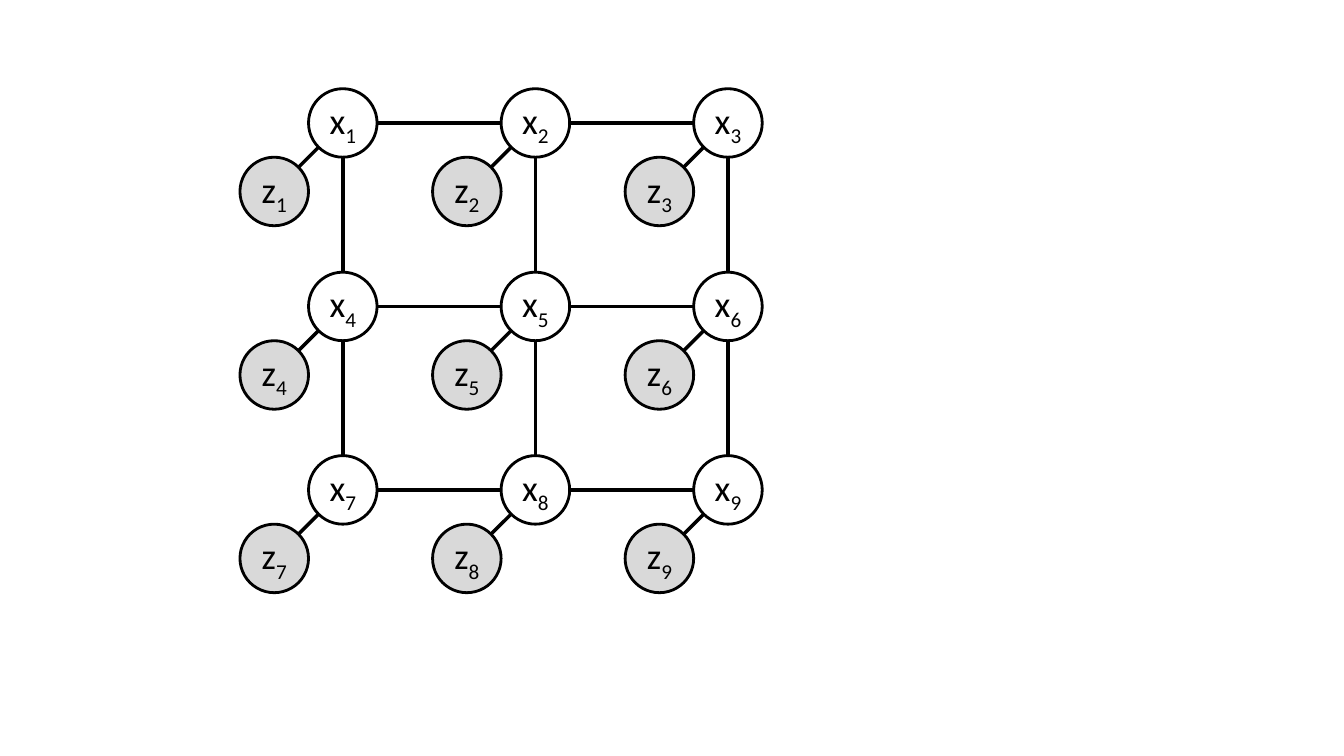
import math

from lxml import etree
from pptx import Presentation
from pptx.dml.color import RGBColor
from pptx.enum.shapes import MSO_CONNECTOR, MSO_SHAPE
from pptx.enum.text import MSO_ANCHOR, PP_ALIGN
from pptx.oxml.ns import qn
from pptx.util import Inches, Pt

ELLIPSE, STRAIGHT = MSO_SHAPE.OVAL, MSO_CONNECTOR.STRAIGHT
MIDDLE, CENTER = MSO_ANCHOR.MIDDLE, PP_ALIGN.CENTER

# Content: a 3 by 3 grid of hidden nodes, each with an observed node
GRID = [["1", "2", "3"], ["4", "5", "6"], ["7", "8", "9"]]
HIDDEN, OBSERVED = "x", "z"

# Layout in inches
FIRST_X, FIRST_Y = 3.4, 1.22
STEP_X, STEP_Y = 1.91, 1.82
DIAMETER = 0.68
OBSERVED_SHIFT = 0.68

# Style
FONT, TEXT_SIZE = "Calibri", 26
BLACK, GRAY = "000000", "D9D9D9"
OUTLINE, EDGE = 2, 2.5


def color(value):
    return RGBColor.from_string(value)


def add_node(page, center, letter, number, fill=None):
    left, top = (c - DIAMETER / 2 for c in center)
    node = page.shapes.add_shape(ELLIPSE, Inches(left), Inches(top),
                                 Inches(DIAMETER), Inches(DIAMETER))
    node.shadow.inherit = False
    if fill:
        node.fill.solid()
        node.fill.fore_color.rgb = color(fill)
    else:
        node.fill.background()
    node.line.color.rgb = color(BLACK)
    node.line.width = Pt(OUTLINE)

    frame = node.text_frame
    frame.word_wrap = False
    frame.vertical_anchor = MIDDLE
    frame.margin_left = frame.margin_right = 0
    frame.margin_top = frame.margin_bottom = 0
    para = frame.paragraphs[0]
    para.alignment = CENTER
    for text in (letter, number):
        span = para.add_run()
        span.text = text
        span.font.name = FONT
        span.font.size = Pt(TEXT_SIZE)
        span.font.color.rgb = color(BLACK)
    # The number is a subscript
    span._r.get_or_add_rPr().set("baseline", "-25000")


def add_edge(page, start, end):
    """Join two circles, from rim to rim along the line of centers."""
    (x1, y1), (x2, y2) = start, end
    share = DIAMETER / 2 / math.dist(start, end)
    dx, dy = (x2 - x1) * share, (y2 - y1) * share
    edge = page.shapes.add_connector(STRAIGHT, Inches(x1 + dx), Inches(y1 + dy),
                                     Inches(x2 - dx), Inches(y2 - dy))
    edge.line.color.rgb = color(BLACK)
    edge.line.width = Pt(EDGE)
    etree.SubElement(edge._element.spPr, qn("a:effectLst"))


def main():
    deck = Presentation()
    deck.slide_width, deck.slide_height = Inches(13.33), Inches(7.5)
    page = deck.slides.add_slide(deck.slide_layouts[6])

    for row, numbers in enumerate(GRID):
        for column, number in enumerate(numbers):
            x, y = FIRST_X + column * STEP_X, FIRST_Y + row * STEP_Y
            hidden = (x, y)
            observed = (x - OBSERVED_SHIFT, y + OBSERVED_SHIFT)
            add_node(page, hidden, HIDDEN, number)
            add_node(page, observed, OBSERVED, number, GRAY)

            # Edges to the observed node and to the right and lower neighbors
            add_edge(page, observed, hidden)
            if column + 1 < len(numbers):
                add_edge(page, hidden, (x + STEP_X, y))
            if row + 1 < len(GRID):
                add_edge(page, hidden, (x, y + STEP_Y))

    deck.save("out.pptx")


if __name__ == "__main__":
    main()
